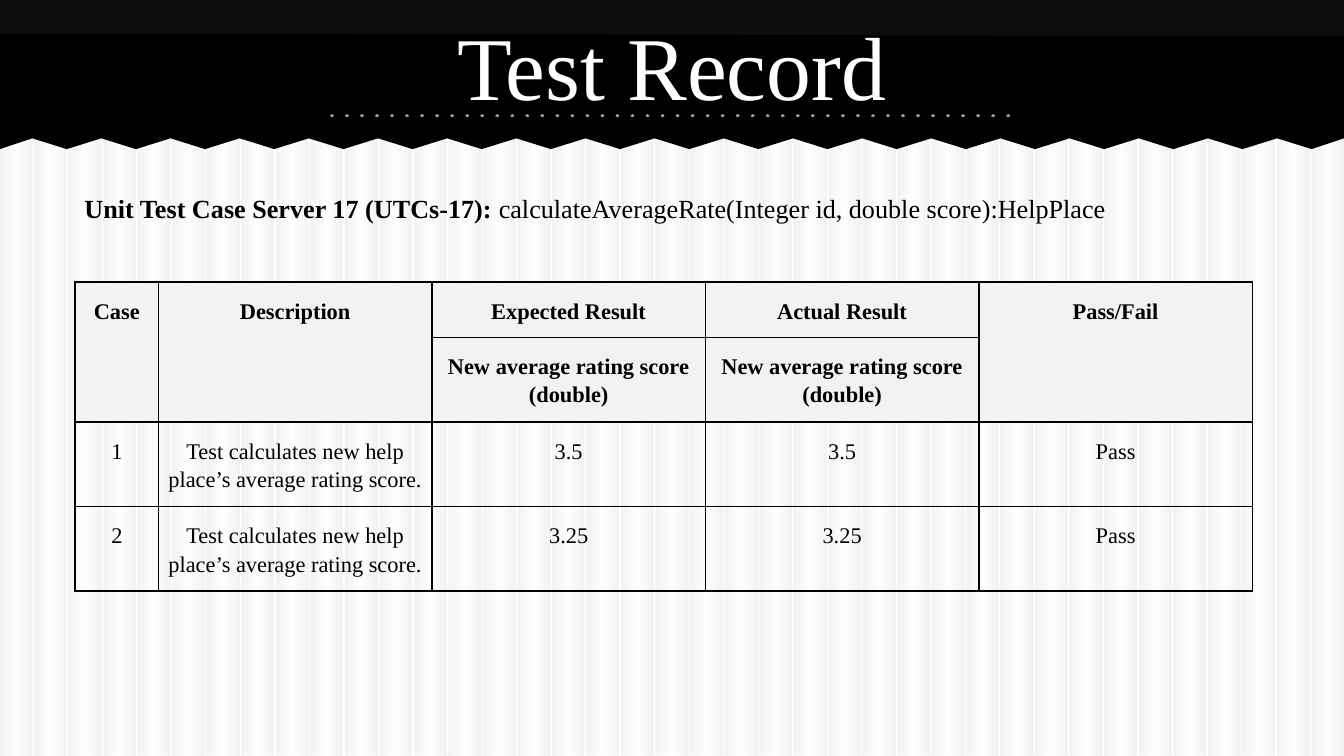
from lxml import etree
from pptx import Presentation
from pptx import util as u
from pptx.dml import color
from pptx.enum import shapes, text
from pptx.oxml import ns

COLORS = {
    "stripe_edge": "BFBFBF",
    "white": "FFFFFF",
    "black": "000000",
    "band": "0C0C0C",
    "dots": "94AE8E",
    "header": "F2F2F2",
}
FONT = "Times New Roman"
SLIDE_WIDTH = 10
SLIDE_HEIGHT = SLIDE_WIDTH * 9 / 16

CASE_WIDTH = 0.62
TABLE_ROWS = [0.41, 0.62, 0.62, 0.62]
SCORE = "New average rating score (double)"
TEST = "Test calculates new help place’s average rating score."
RECORDS = [
    ["Case", "Description", "Expected Result", "Actual Result", "Pass/Fail"],
    ["", "", SCORE, SCORE, ""],
    ["1", TEST, "3.5", "3.5", "Pass"],
    ["2", TEST, "3.25", "3.25", "Pass"],
]
HEADER_ROWS = 2
SPANNING_COLUMNS = (0, 1, 4)


def rgb(name):
    return color.RGBColor.from_string(COLORS[name])


def add_xml(parent, tag, **attributes):
    child = etree.SubElement(parent, ns.qn(tag))
    for name, value in attributes.items():
        child.set(name, str(value))
    return child


def add_span(para, words, size=12, bold=False, shade="black"):
    span = para.add_run()
    span.text = words
    span.font.name = FONT
    span.font.size = u.Pt(size)
    span.font.bold = bold
    span.font.color.rgb = rgb(shade)


def set_solid(shape, shade):
    shape.shadow.inherit = False
    shape.fill.solid()
    shape.fill.fore_color.rgb = rgb(shade)
    shape.line.fill.background()


def add_rectangle(page, left, top, width, height, shade):
    shape = page.shapes.add_shape(
        shapes.MSO_SHAPE.RECTANGLE, *map(u.Inches, (left, top, width, height)))
    set_solid(shape, shade)
    return shape


def set_faded_gradient(shape):
    """Fade from grey to white and back, left to right, at 19% opacity."""
    shape.fill.gradient()
    shape.fill.gradient_angle = 0
    stops = shape.fill._fill._gradFill.find(ns.qn("a:gsLst"))
    for stop in list(stops):
        stops.remove(stop)
    for place, shade in ((0, "stripe_edge"), (50, "white"),
                         (97, "stripe_edge"), (100, "stripe_edge")):
        stop = add_xml(stops, "a:gs", pos=place * 1000)
        tint = add_xml(stop, "a:srgbClr", val=COLORS[shade])
        add_xml(tint, "a:alpha", val=19000)


def add_stripes(page, left, top, width, height, count=39, stripe=0.24):
    pitch = (width - stripe) / (count - 1)
    for index in range(count):
        shape = add_rectangle(page, left + index * pitch, top, stripe, height, "white")
        set_faded_gradient(shape)


def add_torn_edge(page, left, top, width, height, steps=39, margin=0.24, tooth=0.08):
    """Black panel whose lower edge zigzags between two depths."""
    bottom = top + height
    pitch = (width - 2 * margin) / (steps - 2)
    points = [(left + width, top + 0.02)]
    for index in range(steps, -1, -1):
        across = min(max(margin + (index - 1) * pitch, 0), width)
        points.append((left + across, bottom - tooth * (index % 2)))
    builder = page.shapes.build_freeform(u.Inches(left), u.Inches(top))
    builder.add_line_segments([(u.Inches(x), u.Inches(y)) for x, y in points])
    set_solid(builder.convert_to_shape(), "black")


def add_dotted_rule(page, left, top, width):
    rule = page.shapes.add_connector(
        shapes.MSO_CONNECTOR.STRAIGHT, u.Inches(left), u.Inches(top),
        u.Inches(left + width), u.Inches(top))
    rule.line.width = u.Pt(2)
    rule.line.color.rgb = rgb("dots")
    outline = rule.line._get_or_add_ln()
    outline.set("cap", "rnd")
    add_xml(outline, "a:prstDash", val="dot")
    add_xml(rule._element.spPr, "a:effectLst")


def add_text_box(page, left, top, width, height, anchor, inset_top=0.1):
    box = page.shapes.add_textbox(*map(u.Inches, (left, top, width, height)))
    frame = box.text_frame
    frame.word_wrap = True
    frame.vertical_anchor = anchor
    frame.margin_left = frame.margin_right = frame.margin_bottom = u.Inches(0.1)
    frame.margin_top = u.Inches(inset_top)
    return frame.paragraphs[0]


def add_banner(page, left, top, width):
    add_rectangle(page, left, top, width, 1.02, "band")
    add_torn_edge(page, left, top + 0.25, width, 0.86)
    add_dotted_rule(page, left + 2.47, top + 0.86, 5.05)
    para = add_text_box(page, left + 0.5, top + 0.01, width - 1, 0.94,
                        text.MSO_ANCHOR.MIDDLE)
    para.alignment = text.PP_ALIGN.CENTER
    add_span(para, "Test Record", size=48, shade="white")


def add_test_name(page, left, top, width, height):
    para = add_text_box(page, left, top, width, height,
                        text.MSO_ANCHOR.TOP, inset_top=0.25)
    add_span(para, "Unit Test Case Server 17 (UTCs-17): ", size=14, bold=True)
    add_span(para, "calculateAverageRate(Integer id, double score):HelpPlace", size=14)


def set_borders(cell):
    properties = cell._tc.get_or_add_tcPr()
    for side in ("a:lnL", "a:lnR", "a:lnT", "a:lnB"):
        border = add_xml(properties, side, w=u.Pt(1))
        fill = add_xml(border, "a:solidFill")
        add_xml(fill, "a:srgbClr", val=COLORS["black"])


def format_cell(cell, words, header):
    cell.margin_left = cell.margin_right = cell.margin_bottom = u.Inches(0.07)
    cell.margin_top = u.Inches(0.1)
    set_borders(cell)
    if header:
        cell.fill.solid()
        cell.fill.fore_color.rgb = rgb("header")
    else:
        cell.fill.background()
    para = cell.text_frame.paragraphs[0]
    para.alignment = text.PP_ALIGN.CENTER
    para.line_spacing = 1.15
    if words:
        add_span(para, words, bold=header)


def add_record_table(page, left, top, width):
    count = len(RECORDS[0])
    frame = page.shapes.add_table(
        len(TABLE_ROWS), count, u.Inches(left), u.Inches(top),
        u.Inches(width), u.Inches(sum(TABLE_ROWS)))
    table = frame.table
    table.first_row = table.horz_banding = False
    for index, column in enumerate(table.columns):
        share = (width - CASE_WIDTH) / (count - 1) if index else CASE_WIDTH
        column.width = u.Inches(share)
    for row, height in zip(table.rows, TABLE_ROWS):
        row.height = u.Inches(height)
    for row, record in enumerate(RECORDS):
        for column, words in enumerate(record):
            format_cell(table.cell(row, column), words, row < HEADER_ROWS)
    for column in SPANNING_COLUMNS:
        table.cell(0, column).merge(table.cell(HEADER_ROWS - 1, column))


def main():
    deck = Presentation()
    deck.slide_width = u.Inches(SLIDE_WIDTH)
    deck.slide_height = u.Inches(SLIDE_HEIGHT)
    page = deck.slides.add_slide(deck.slide_layouts[6])
    page.background.fill.solid()
    page.background.fill.fore_color.rgb = rgb("white")
    add_stripes(page, 0, 0.01, SLIDE_WIDTH, SLIDE_HEIGHT - 0.01)
    add_banner(page, 0, 0, SLIDE_WIDTH)
    add_record_table(page, 0.56, 2.1, 8.76)
    add_test_name(page, 0.53, 1.24, 8.76, 1.12)
    deck.save("out.pptx")


if __name__ == "__main__":
    main()
